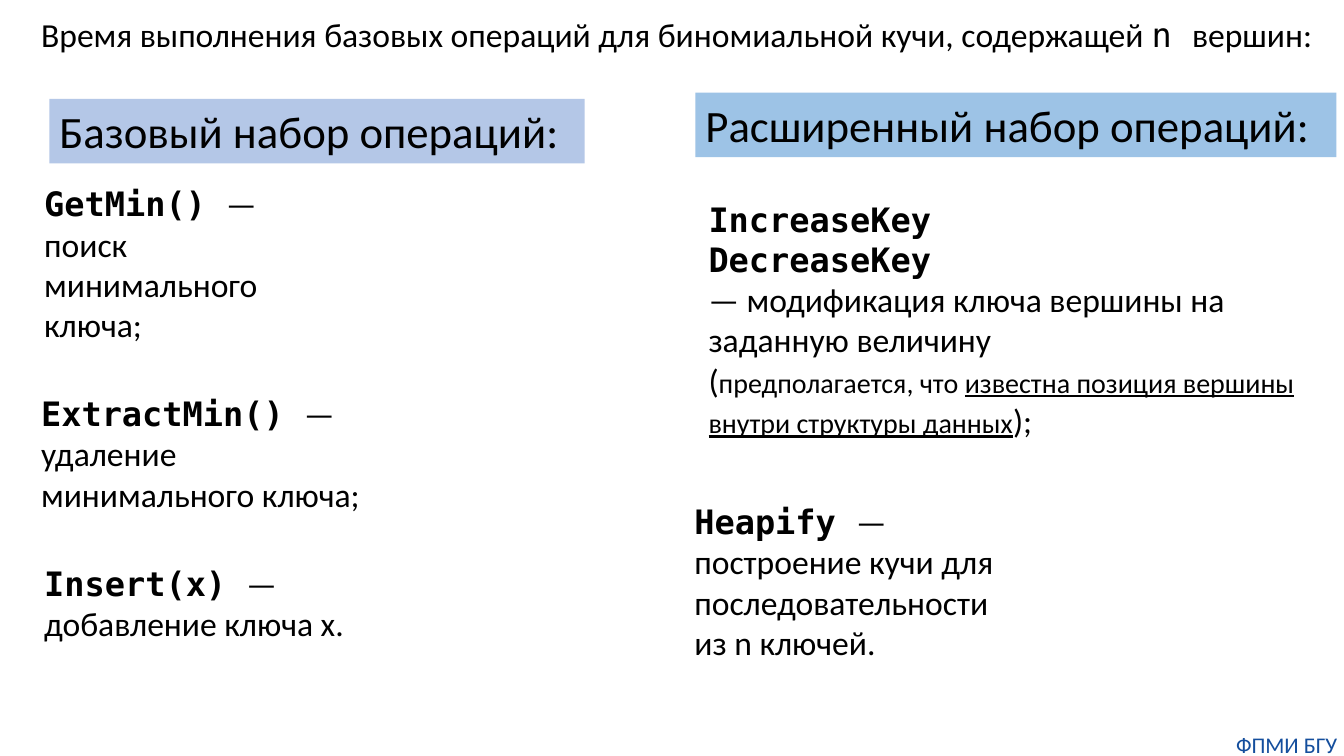
from dataclasses import dataclass

from pptx import Presentation
from pptx.dml.color import RGBColor
from pptx.enum.shapes import MSO_SHAPE
from pptx.enum.text import MSO_ANCHOR, MSO_AUTO_SIZE, PP_ALIGN
from pptx.slide import Slide
from pptx.util import Pt

RECTANGLE = MSO_SHAPE.RECTANGLE
TOP = MSO_ANCHOR.TOP
GROW = MSO_AUTO_SIZE.SHAPE_TO_FIT_TEXT
LEFT, CENTER = PP_ALIGN.LEFT, PP_ALIGN.CENTER

BLACK = RGBColor(0x00, 0x00, 0x00)
FOOTER_BLUE = RGBColor(0x14, 0x4E, 0x9D)
BASIC_BLUE = RGBColor(0xB4, 0xC7, 0xE7)
EXTENDED_BLUE = RGBColor(0x9D, 0xC3, 0xE6)

# Character formats
BODY = {"name": "Calibri", "size": Pt(24), "bold": False}
MONO = BODY | {"name": "DejaVu Sans Mono"}
CODE = MONO | {"bold": True}
SMALL = BODY | {"size": Pt(20)}
UNDERLINED = SMALL | {"underline": True}
HEADING = BODY | {"size": Pt(32)}
FOOTER = BODY | {"size": Pt(16)}

FRAME = {"word_wrap": True, "auto_size": GROW, "vertical_anchor": TOP}
NO_MARGINS = {f"margin_{side}": Pt(0) for side in ("left", "top", "right", "bottom")}

Run = tuple[str, dict]


@dataclass(frozen=True)
class Block:
    """A piece of text with its place in points."""
    left: float
    top: float
    width: float
    height: float
    paragraphs: list[list[Run]]
    fill: RGBColor | None = None
    color: RGBColor = BLACK
    align: PP_ALIGN = LEFT
    inset: bool = True


def operation(name: str, meaning: str) -> list[list[Run]]:
    return [[(f"{name} ", CODE), (f"— {meaning}", BODY)]]


def apply_format(target: object, values: dict) -> None:
    for attribute, value in values.items():
        setattr(target, attribute, value)


def draw_block(slide: Slide, block: Block) -> None:
    place = [Pt(v) for v in (block.left, block.top, block.width, block.height)]
    if block.fill is None:
        box = slide.shapes.add_textbox(*place)
    else:
        box = slide.shapes.add_shape(RECTANGLE, *place)
        box.shadow.inherit = False
        box.fill.solid()
        box.fill.fore_color.rgb = block.fill
        box.line.fill.background()

    frame = box.text_frame
    apply_format(frame, FRAME if block.inset else FRAME | NO_MARGINS)
    for index, runs in enumerate(block.paragraphs):
        paragraph = frame.add_paragraph() if index else frame.paragraphs[0]
        paragraph.alignment = block.align
        for text, values in runs:
            run = paragraph.add_run()
            run.text = text
            apply_format(run.font, values)
            run.font.color.rgb = block.color


BLOCKS = [
    # Footer
    Block(878.4, 522, 81.4, 19.4, [[("ФПМИ БГУ", FOOTER)]],
          color=FOOTER_BLUE, align=CENTER, inset=False),
    # Title
    Block(22.3, 6.5, 937.4, 36, [[
        ("Время выполнения базовых операций для биномиальной кучи, содержащей ", BODY),
        ("n ", MONO),
        ("вершин:", BODY),
    ]]),
    # Basic operations
    Block(35.3, 70.6, 382.3, 46.1, [[("Базовый набор операций:", HEADING)]],
          fill=BASIC_BLUE),
    Block(24.5, 127.4, 211.7, 123.8, operation("GetMin()", "поиск минимального ключа;")),
    Block(22.3, 277.2, 259.2, 94.3, operation("ExtractMin()", "удаление минимального ключа;")),
    Block(24.5, 398.2, 231.1, 65.5, operation("Insert(x)", "добавление ключа x.")),
    # Extended operations
    Block(496.8, 66.2, 457.9, 46.1, [[("Расширенный набор операций:", HEADING)]],
          fill=EXTENDED_BLUE),
    Block(499, 138.2, 435.6, 181.4, [
        [("IncreaseKey", CODE)],
        [("DecreaseKey", CODE)],
        [("— модификация ключа вершины на заданную величину", BODY)],
        [
            ("(", BODY),
            ("предполагается, что ", SMALL),
            ("известна позиция вершины внутри структуры данных", UNDERLINED),
            (");", BODY),
        ],
    ]),
    Block(488.9, 354.2, 236.9, 123.8,
          operation("Heapify", "построение кучи для последовательности из n ключей.")),
]


def main() -> None:
    presentation = Presentation()
    presentation.slide_width, presentation.slide_height = Pt(960), Pt(540)
    slide = presentation.slides.add_slide(presentation.slide_layouts[6])
    for block in BLOCKS:
        draw_block(slide, block)
    presentation.save("out.pptx")


if __name__ == "__main__":
    main()
